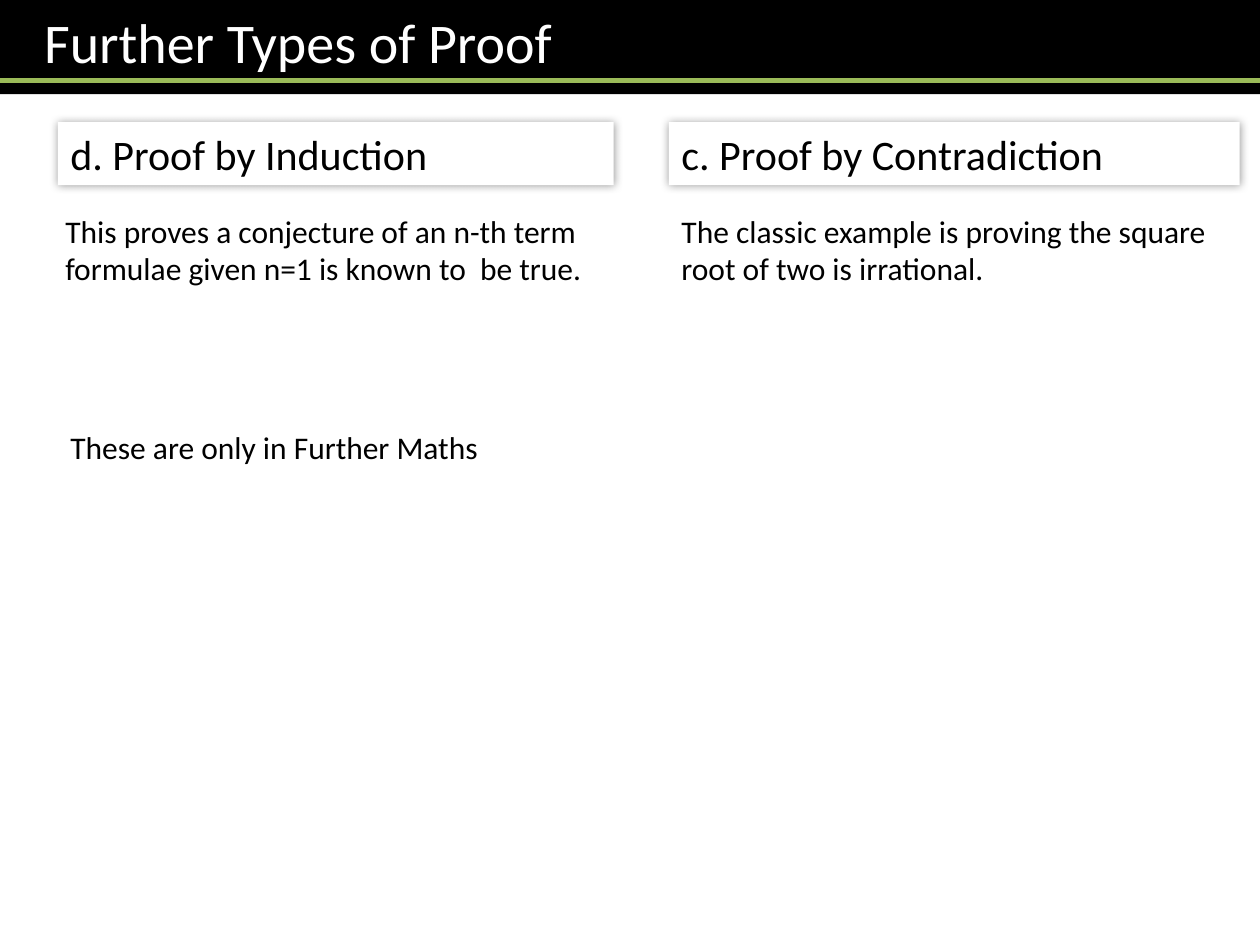
from lxml import etree
from pptx import Presentation
from pptx.dml.color import RGBColor
from pptx.enum.shapes import MSO_CONNECTOR, MSO_SHAPE
from pptx.enum.text import MSO_ANCHOR, MSO_AUTO_SIZE, PP_ALIGN
from pptx.oxml import parse_xml
from pptx.oxml.ns import nsdecls, qn
from pptx.util import Inches, Pt

BLACK = RGBColor(0x00, 0x00, 0x00)
WHITE = RGBColor(0xFF, 0xFF, 0xFF)
GREEN = RGBColor(0x9B, 0xBB, 0x59)
FONT = "Calibri"
HEADING_TOP, HEADING_HEIGHT = 0.97, 0.5
BODY_TOP, BODY_WIDTH, BODY_HEIGHT = 1.63, 4.55, 0.71

COLUMNS = [
    ("d. Proof by Induction", 0.46, 4.41, 0.42,
     "This proves a conjecture of an n-th term formulae given n=1 is known to  be true."),
    ("c. Proof by Contradiction", 5.31, 4.53, 5.31,
     "The classic example is proving the square root of two is irrational."),
]


def write_text(shape, text, size, color=BLACK):
    text_frame = shape.text_frame
    text_frame.text = text
    text_frame.word_wrap = True
    text_frame.auto_size = MSO_AUTO_SIZE.SHAPE_TO_FIT_TEXT
    paragraph = text_frame.paragraphs[0]
    paragraph.alignment = PP_ALIGN.LEFT
    font = paragraph.runs[0].font
    font.name = FONT
    font.size = Pt(size)
    font.color.rgb = color


def add_soft_shadow(shape):
    effects = parse_xml(
        f'<a:effectLst {nsdecls("a")}>'
        f'<a:outerShdw blurRad="{Pt(5)}" dist="0" dir="0" algn="ctr" rotWithShape="0">'
        f'<a:srgbClr val="{BLACK}"><a:alpha val="40000"/></a:srgbClr>'
        '</a:outerShdw></a:effectLst>'
    )
    shape._element.spPr.append(effects)


def add_title_bar(slide):
    title = slide.shapes.title
    title.left, title.top = Inches(0), Inches(0)
    title.width, title.height = Inches(10), Inches(0.66)
    title.fill.solid()
    title.fill.fore_color.rgb = BLACK
    write_text(title, "Further Types of Proof", 32, WHITE)
    title.text_frame.margin_left = Inches(0.35)
    title.text_frame.vertical_anchor = MSO_ANCHOR.MIDDLE

    rule = slide.shapes.add_connector(
        MSO_CONNECTOR.STRAIGHT, Inches(0), Inches(0.64), Inches(10), Inches(0.64))
    rule.line.color.rgb = GREEN
    rule.line.width = Pt(3)
    etree.SubElement(rule._element.spPr, qn("a:effectLst"))


def add_heading(slide, text, left, width):
    heading = slide.shapes.add_shape(
        MSO_SHAPE.RECTANGLE, Inches(left), Inches(HEADING_TOP),
        Inches(width), Inches(HEADING_HEIGHT))
    heading.fill.solid()
    heading.fill.fore_color.rgb = WHITE
    heading.line.fill.background()
    add_soft_shadow(heading)
    write_text(heading, text, 24)


def add_body(slide, text, left, top, height):
    body = slide.shapes.add_textbox(
        Inches(left), Inches(top), Inches(BODY_WIDTH), Inches(height))
    write_text(body, text, 18)


def main():
    presentation = Presentation()
    presentation.slide_width = Inches(10)
    presentation.slide_height = Inches(7.5)
    slide = presentation.slides.add_slide(presentation.slide_layouts[5])
    add_title_bar(slide)
    for heading, heading_left, heading_width, body_left, body in COLUMNS:
        add_heading(slide, heading, heading_left, heading_width)
        add_body(slide, body, body_left, BODY_TOP, BODY_HEIGHT)
    add_body(slide, "These are only in Further Maths", 0.46, 3.35, 0.4)
    presentation.save("out.pptx")


if __name__ == "__main__":
    main()
